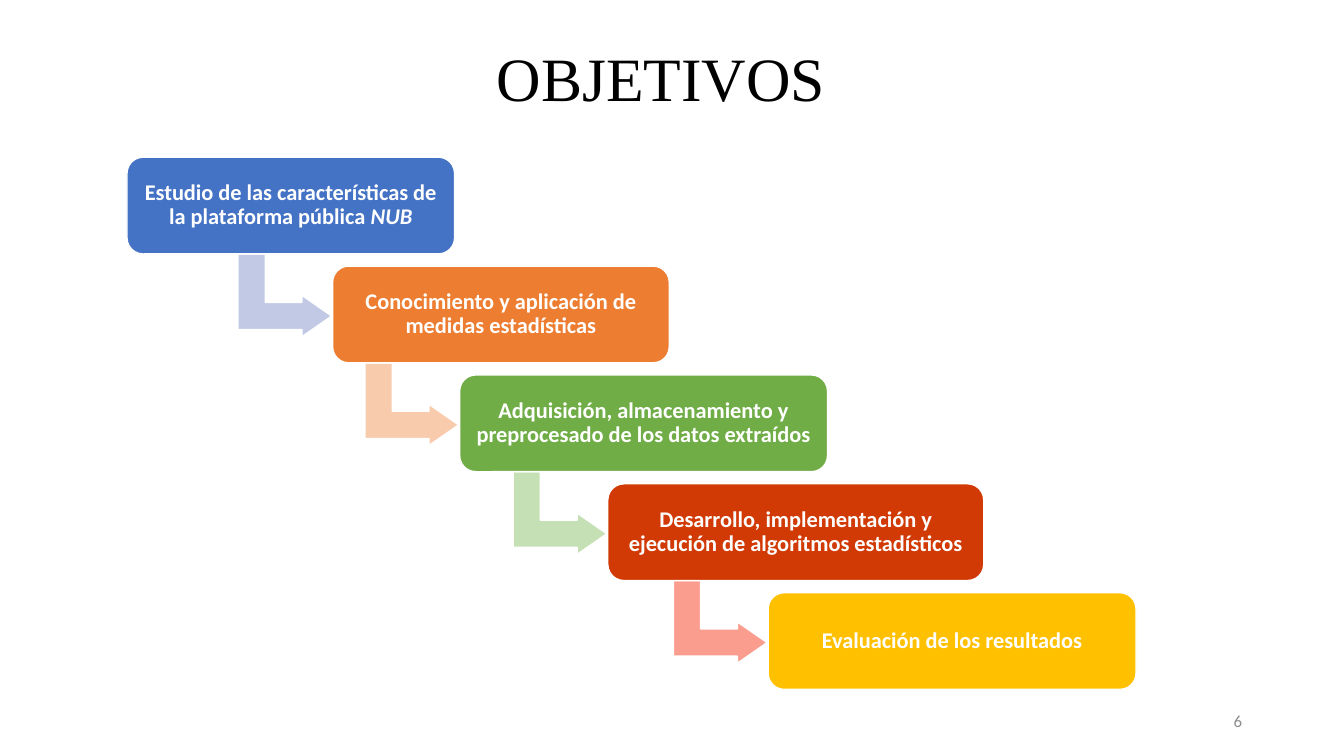
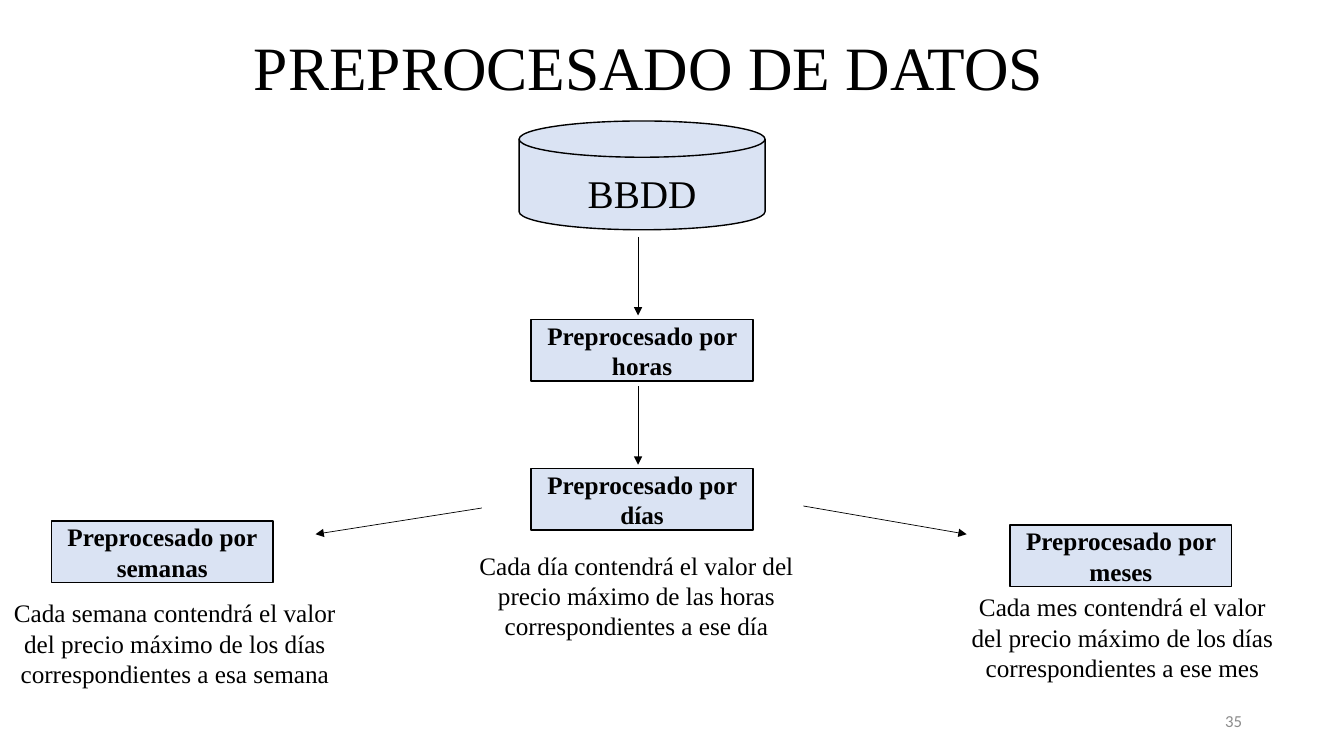
"""Build two slides: a staircase of objectives and a data preprocessing flow."""
from lxml import etree
from pptx import Presentation
from pptx.dml.color import RGBColor
from pptx.enum.shapes import MSO_CONNECTOR, MSO_SHAPE
from pptx.enum.text import MSO_ANCHOR, PP_ALIGN
from pptx.oxml.ns import qn
from pptx.util import Inches, Pt

CENTER, RIGHT = PP_ALIGN.CENTER, PP_ALIGN.RIGHT
TOP, MIDDLE = MSO_ANCHOR.TOP, MSO_ANCHOR.MIDDLE
RECTANGLE, ROUNDED = MSO_SHAPE.RECTANGLE, MSO_SHAPE.ROUNDED_RECTANGLE
BENT_ARROW, DISK = MSO_SHAPE.BENT_UP_ARROW, MSO_SHAPE.FLOWCHART_MAGNETIC_DISK
STRAIGHT = MSO_CONNECTOR.STRAIGHT

CELL = Inches(0.1)
SLIDE_COLUMNS, SLIDE_ROWS = 133.33, 75
SERIF, SANS = "Times New Roman", "Calibri"

COLORS = {
    "black": "000000", "white": "FFFFFF", "gray": "8C8C8C", "pale blue": "DAE3F3",
    "blue": "4472C4", "blue tint": "C1C9E4",
    "orange": "ED7D31", "orange tint": "F8CBAD",
    "green": "70AD47", "green tint": "C5E0B4",
    "red": "D13A05", "red tint": "FA9D8E",
    "yellow": "FFC000",
}

STEP_TOP, STEP_PITCH, STEP_HEIGHT = 15.6, 10.8, 9.6
STEPS = [
    (12.6, 32.5, "blue", [("Estudio de las características de la plataforma pública ", False),
                          ("NUB", True)]),
    (33, 33.4, "orange", [("Conocimiento y aplicación de medidas estadísticas", False)]),
    (45.6, 36.5, "green", [("Adquisición, almacenamiento y preprocesado de los datos extraídos",
                            False)]),
    (60.3, 37.3, "red", [("Desarrollo, implementación y ejecución de algoritmos estadísticos",
                          False)]),
    (76.2, 36.5, "yellow", [("Evaluación de los resultados", False)]),
]

STAGES = [
    (52.7, 31.7, "Preprocesado por horas"),
    (52.7, 46.5, "Preprocesado por días"),
    (5.1, 51.7, "Preprocesado por semanas"),
    (100.2, 52.1, "Preprocesado por meses"),
]
CAPTIONS = [
    (45.8, 54.1, 34.7,
     "Cada día contendrá el valor del precio máximo de las horas correspondientes a ese día"),
    (0, 58.8, 34.7,
     "Cada semana contendrá el valor del precio máximo de los días correspondientes a esa semana"),
    (95.3, 58.2, 32.1,
     "Cada mes contendrá el valor del precio máximo de los días correspondientes a ese mes"),
]
FLOW_ARROWS = [
    ((63.3, 23.5), (63.3, 31.3)),
    ((63.3, 38.3), (63.3, 46.1)),
    ((47.8, 50.4), (31.3, 53)),
    ((79.7, 50.2), (95.9, 53)),
]


def cells(*counts):
    """Convert counts of grid cells to lengths."""
    return [round(count * CELL) for count in counts]


def color(name):
    """Look up a named colour."""
    return RGBColor.from_string(COLORS[name])


def write(shape, runs, size, font=SERIF, ink="black", bold=False,
          align=CENTER, anchor=MIDDLE, spacing=1.0):
    """Fill a shape with one paragraph of (text, italic) runs."""
    frame = shape.text_frame
    frame.word_wrap = True
    frame.vertical_anchor = anchor
    paragraph = frame.paragraphs[0]
    paragraph.alignment = align
    paragraph.line_spacing = spacing
    paragraph.font.name = font
    paragraph.font.size = Pt(size)
    paragraph.font.bold = bold
    paragraph.font.color.rgb = color(ink)
    for text, italic in runs:
        run = paragraph.add_run()
        run.text = text
        if italic:
            run.font.italic = True


def add_text(slide, text, box, size, **style):
    """Add a text box at (left, top, width, height)."""
    write(slide.shapes.add_textbox(*cells(*box)), [(text, False)], size, **style)


def add_block(slide, kind, box, fill, line):
    """Add a filled and outlined preset shape."""
    shape = slide.shapes.add_shape(kind, *cells(*box))
    shape.shadow.inherit = False
    shape.fill.solid()
    shape.fill.fore_color.rgb = color(fill)
    shape.line.color.rgb = color(line)
    shape.line.width = Pt(1)
    return shape


def add_arrow(slide, start, end):
    """Add a thin straight arrow between two grid points."""
    connector = slide.shapes.add_connector(STRAIGHT, *cells(*start, *end))
    connector.line.color.rgb = color("black")
    connector.line.width = Pt(0.5)
    properties = connector.element.spPr
    etree.SubElement(properties.find(qn("a:ln")), qn("a:tailEnd"), type="triangle")
    etree.SubElement(properties, qn("a:effectLst"))


def add_step_arrow(slide, next_left, step_top, fill):
    """Add the bent arrow that leads down to the next step."""
    box = (next_left - 8.85, step_top + 9.05, 8.2, 9.3)
    arrow = add_block(slide, BENT_ARROW, box, fill, "white")
    arrow.rotation = 90
    for index, value in enumerate((0.33, 0.25, 0.36)):
        arrow.adjustments[index] = value


def add_step(slide, box, fill, runs):
    """Add one rounded step with its text."""
    step = add_block(slide, ROUNDED, box, fill, "white")
    frame = step.text_frame
    frame.margin_left, frame.margin_top, frame.margin_right, frame.margin_bottom = cells(*[0.7] * 4)
    write(step, runs, 16, font=SANS, ink="white", bold=True, spacing=0.9)


def add_base_slide(presentation, title, left, top, number):
    """Add a blank slide with its title and slide number."""
    slide = presentation.slides.add_slide(presentation.slide_layouts[6])
    add_text(slide, title, (left, top, 115, 7.7), 44, spacing=0.9)
    add_text(slide, number, (94.2, 69.5, 30, 4), 12, font=SANS, ink="gray", align=RIGHT)
    return slide


def build_objectives(presentation):
    """Build the staircase of objectives."""
    slide = add_base_slide(presentation, "OBJETIVOS", 8.1, 4.2, "6")
    for index, (left, width, fill, runs) in enumerate(STEPS):
        top = STEP_TOP + index * STEP_PITCH
        if index + 1 < len(STEPS):
            add_step_arrow(slide, STEPS[index + 1][0], top, f"{fill} tint")
        add_step(slide, (left, top, width, STEP_HEIGHT), fill, runs)


def build_preprocessing(presentation):
    """Build the flow from the database to its summaries."""
    slide = add_base_slide(presentation, "PREPROCESADO DE DATOS", 6.9, 3.2, "35")
    database = add_block(slide, DISK, (51.5, 12, 24.4, 10.8), "pale blue", "black")
    database.text_frame.margin_top, database.text_frame.margin_bottom = cells(1.7, 0)
    write(database, [("BBDD", False)], 28)
    for left, top, text in STAGES:
        stage = add_block(slide, RECTANGLE, (left, top, 22, 6.1), "pale blue", "black")
        write(stage, [(text, False)], 18, bold=True)
    for start, end in FLOW_ARROWS:
        add_arrow(slide, start, end)
    for left, top, width, text in CAPTIONS:
        add_text(slide, text, (left, top, width, 10.1), 18, anchor=TOP)


def main():
    """Build and save the presentation."""
    presentation = Presentation()
    presentation.slide_width, presentation.slide_height = cells(SLIDE_COLUMNS, SLIDE_ROWS)
    build_objectives(presentation)
    build_preprocessing(presentation)
    presentation.save("out.pptx")


if __name__ == "__main__":
    main()
